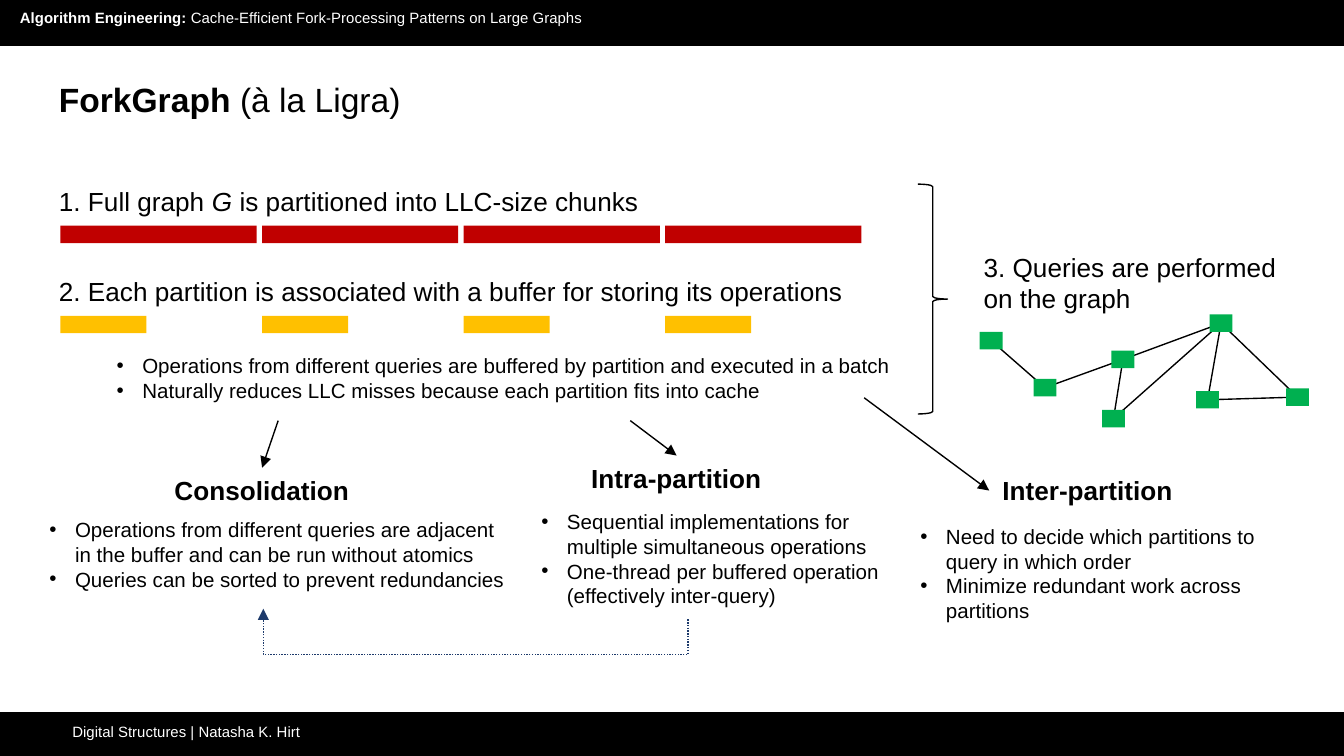
from dataclasses import dataclass

import pptx
import pptx.dml.color
import pptx.enum.dml
import pptx.enum.shapes
import pptx.enum.text
import pptx.oxml
import pptx.oxml.ns
import pptx.util
from pptx.util import Inches

SHAPES = pptx.enum.shapes.MSO_SHAPE
TOP, LEFT = 0, 1


@dataclass(frozen=True)
class Theme:
    font: str = "Arial"
    ink: str = "000000"
    paper: str = "FFFFFF"
    partition: str = "C00000"
    buffer: str = "FFC000"
    node: str = "00B050"
    feedback: str = "1D3A6B"
    title: int = 18
    heading: int = 14
    body: int = 11
    caption: int = 8
    line: float = 0.75


def rgb(color):
    return pptx.dml.color.RGBColor.from_string(color)


def element(tag, parent, **attributes):
    child = pptx.oxml.parse_xml(f"<a:{tag} {pptx.oxml.ns.nsdecls('a')}/>")
    for name, value in attributes.items():
        child.set(name, str(value))
    parent.append(child)
    return child


class SlideWriter:
    def __init__(self, slide, theme):
        self.slide = slide
        self.theme = theme

    def style_line(self, shape, color):
        shape.line.color.rgb = rgb(color)
        shape.line.width = pptx.util.Pt(self.theme.line)

    def add_arrowhead(self, shape):
        element("tailEnd", shape.line._get_or_add_ln(), type="triangle")

    def rectangle(self, left, top, width, height, color):
        shape = self.slide.shapes.add_shape(
            SHAPES.RECTANGLE, Inches(left), Inches(top), Inches(width), Inches(height))
        shape.shadow.inherit = False
        shape.fill.solid()
        shape.fill.fore_color.rgb = rgb(color)
        shape.line.fill.background()
        return shape

    def brace(self, left, top, width, height):
        shape = self.slide.shapes.add_shape(
            SHAPES.LEFT_BRACE, Inches(left), Inches(top), Inches(width), Inches(height))
        shape.rotation = 180
        shape.shadow.inherit = False
        shape.fill.background()
        self.style_line(shape, self.theme.ink)

    def polyline(self, points, color):
        points = [(Inches(x), Inches(y)) for x, y in points]
        builder = self.slide.shapes.build_freeform(*points[0])
        builder.add_line_segments(points[1:], close=False)
        shape = builder.convert_to_shape()
        shape.shadow.inherit = False
        shape.fill.background()
        self.style_line(shape, color)
        return shape

    def arrow(self, start, target, side):
        """Arrow from a point to the middle of one side of the target."""
        connector = self.slide.shapes.add_connector(
            pptx.enum.shapes.MSO_CONNECTOR.STRAIGHT,
            Inches(start[0]), Inches(start[1]), target.left, target.top)
        connector.end_connect(target, side)
        self.style_line(connector, self.theme.ink)
        self.add_arrowhead(connector)
        element("effectLst", connector._element.spPr)

    def text(self, box, paragraphs, size, color=None, wrap=False, bullets=False,
             margin=0.05, grow=True):
        """Each paragraph is a list of (text, style) runs; style is '', 'b' or 'i'."""
        shape = self.slide.shapes.add_textbox(*map(Inches, box))
        frame = shape.text_frame
        frame.word_wrap = wrap
        frame.margin_top = frame.margin_bottom = Inches(margin)
        if grow:
            frame.auto_size = pptx.enum.text.MSO_AUTO_SIZE.SHAPE_TO_FIT_TEXT
        for index, runs in enumerate(paragraphs):
            paragraph = frame.add_paragraph() if index else frame.paragraphs[0]
            if bullets:
                self.add_bullet(paragraph)
            for content, style in runs:
                for number, line in enumerate(content.split("\n")):
                    if number:
                        paragraph.add_line_break()
                    run = paragraph.add_run()
                    run.text = line
                    run.font.name = self.theme.font
                    run.font.size = pptx.util.Pt(size)
                    run.font.color.rgb = rgb(color or self.theme.ink)
                    run.font.bold = style == "b"
                    run.font.italic = style == "i"
        return shape

    def add_bullet(self, paragraph):
        properties = paragraph._p.get_or_add_pPr()
        properties.set("marL", str(Inches(0.19)))
        properties.set("indent", str(-Inches(0.19)))
        element("srgbClr", element("buClr", properties), val=self.theme.ink)
        element("buFont", properties, typeface=self.theme.font)
        element("buChar", properties, char="•")

    def heading(self, box, *runs):
        return self.text(box, [runs], self.theme.heading)

    def bullets(self, box, *items, wrap=False):
        self.text(box, [[(item, "")] for item in items], self.theme.body,
                  wrap=wrap, bullets=True)


def draw_frame(writer):
    theme = writer.theme
    for top in (5.3, 0):
        writer.style_line(writer.rectangle(0, top, 10, 0.34, theme.ink), theme.ink)
    bar_text = dict(size=theme.caption, color=theme.paper, wrap=True, margin=0.1)
    writer.text((0.44, 5.31, 4.28, 0.34),
                [[("Digital Structures | Natasha K. Hirt", "")]], **bar_text)
    writer.text((0.05, 0, 7.68, 0.47),
                [[("Algorithm Engineering: ", "b"),
                  ("Cache-Efficient Fork-Processing Patterns on Large Graphs", "")]],
                grow=False, **bar_text)
    writer.text((0.34, 0.49, 9.32, 0.63), [[("ForkGraph ", "b"), ("(à la Ligra)", "")]],
                theme.title, wrap=True, margin=0.1, grow=False)


def draw_partitions(writer):
    writer.heading((0.34, 1.33, 4.59, 0.34), ("1. Full graph ", ""), ("G", "i"),
                   (" is partitioned into LLC-size chunks", ""))
    writer.heading((0.34, 2, 6.07, 0.34),
                   ("2. Each partition is associated with a buffer for storing its operations", ""))
    for index in range(4):
        left = 0.45 + 1.5 * index
        writer.rectangle(left, 1.68, 1.46, 0.13, writer.theme.partition)
        writer.rectangle(left, 2.35, 0.64, 0.13, writer.theme.buffer)
    writer.bullets(
        (0.77, 2.58, 5.99, 0.47),
        "Operations from different queries are buffered by partition and executed in a batch",
        "Naturally reduces LLC misses because each partition fits into cache")
    writer.brace(6.83, 1.37, 0.22, 1.71)


def draw_query_graph(writer):
    writer.heading((7.22, 1.82, 2.44, 0.57), ("3. Queries are performed \non the graph", ""))
    width, height = 0.17, 0.13
    nodes = {"A": (7.29, 2.47), "B": (7.69, 2.82), "C": (8.27, 2.61), "D": (8.2, 3.05),
             "E": (9, 2.34), "F": (8.9, 2.91), "G": (9.57, 2.89)}
    walk = [(nodes[name][0] + width / 2, nodes[name][1] + height / 2) for name in "ABCEGFEDC"]
    writer.polyline(walk, writer.theme.ink)
    for left, top in nodes.values():
        writer.rectangle(left, top, width, height, writer.theme.node)


def draw_strategies(writer):
    consolidation = writer.heading((1.2, 3.48, 1.5, 0.34), ("Consolidation", "b"))
    intra = writer.heading((4.3, 3.39, 1.47, 0.34), ("Intra-partition", "b"))
    inter = writer.heading((7.36, 3.48, 1.47, 0.34), ("Inter-partition", "b"))
    writer.bullets(
        (0.27, 3.8, 3.6, 0.66),
        "Operations from different queries are adjacent\n"
        "in the buffer and can be run without atomics",
        "Queries can be sorted to prevent redundancies")
    writer.bullets(
        (3.93, 3.74, 2.83, 0.84),
        "Sequential implementations for multiple simultaneous operations",
        "One-thread per buffered operation (effectively inter-query)", wrap=True)
    writer.bullets(
        (6.75, 3.85, 2.83, 0.84),
        "Need to decide which partitions to query in which order",
        "Minimize redundant work across partitions", wrap=True)
    writer.arrow((2.07, 3.13), consolidation, TOP)
    writer.arrow((4.69, 3.13), intra, TOP)
    writer.arrow((6.43, 2.96), inter, LEFT)
    feedback = writer.polyline([(5.12, 4.61), (5.12, 4.87), (1.96, 4.87), (1.96, 4.53)],
                               writer.theme.feedback)
    feedback.line.dash_style = pptx.enum.dml.MSO_LINE.ROUND_DOT
    writer.add_arrowhead(feedback)


def main():
    presentation = pptx.Presentation()
    presentation.slide_width = Inches(10)
    presentation.slide_height = presentation.slide_width * 9 // 16
    slide = presentation.slides.add_slide(presentation.slide_layouts[6])
    writer = SlideWriter(slide, Theme())
    draw_frame(writer)
    draw_partitions(writer)
    draw_query_graph(writer)
    draw_strategies(writer)
    presentation.save("out.pptx")


if __name__ == "__main__":
    main()
